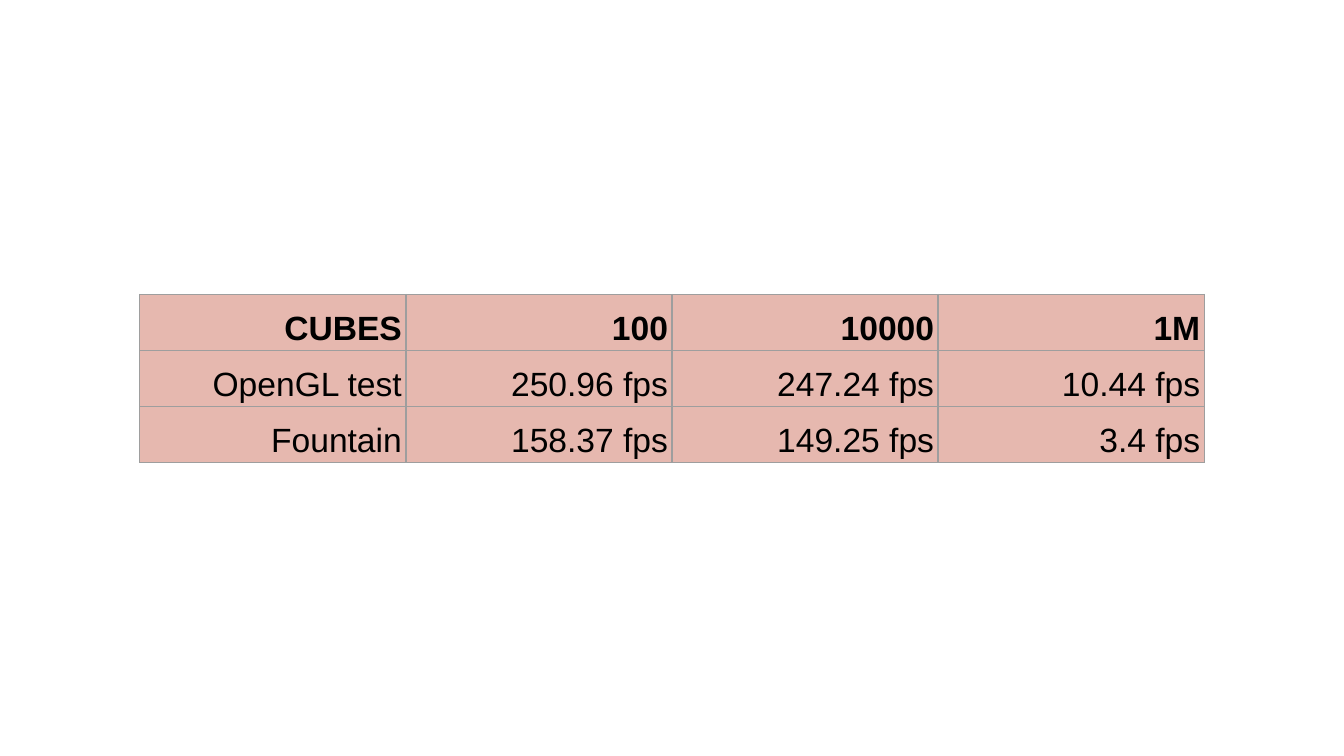
from dataclasses import dataclass

from lxml.etree import SubElement
from pptx import Presentation
from pptx.dml.color import RGBColor
from pptx.enum.text import MSO_ANCHOR, PP_ALIGN
from pptx.oxml.ns import qn
from pptx.slide import Slide
from pptx.table import _Cell
from pptx.util import Inches, Pt

CELL_FILL = "E6B8AF"
BORDER_COLOR = "9E9E9E"
TEXT_COLOR = "000000"
TABLE_WIDTH = Inches(7.92)
TABLE_HEIGHT = Inches(1.25)


@dataclass(frozen=True)
class ResultRow:
    values: tuple[str, ...]
    bold: bool = False


RESULTS = [
    ResultRow(("CUBES", "100", "10000", "1M"), bold=True),
    ResultRow(("OpenGL test", "250.96 fps", "247.24 fps", "10.44 fps")),
    ResultRow(("Fountain", "158.37 fps", "149.25 fps", "3.4 fps")),
]


def color(hex_value: str) -> RGBColor:
    return RGBColor.from_string(hex_value)


def add_borders(cell: _Cell) -> None:
    properties = cell._tc.get_or_add_tcPr()
    for side in ("a:lnL", "a:lnR", "a:lnT", "a:lnB"):
        line = SubElement(properties, qn(side), w=str(Pt(0.75)))
        fill = SubElement(line, qn("a:solidFill"))
        SubElement(fill, qn("a:srgbClr"), val=BORDER_COLOR)


def fill_cell(cell: _Cell, text: str, bold: bool) -> None:
    add_borders(cell)
    cell.fill.solid()
    cell.fill.fore_color.rgb = color(CELL_FILL)
    cell.margin_left = cell.margin_right = Inches(0.03)
    cell.margin_top = cell.margin_bottom = Inches(0.02)
    cell.vertical_anchor = MSO_ANCHOR.BOTTOM
    cell.text = text
    paragraph = cell.text_frame.paragraphs[0]
    paragraph.alignment = PP_ALIGN.RIGHT
    paragraph.line_spacing = 1.15
    paragraph.font.name = "Arial"
    paragraph.font.size = Pt(18)
    paragraph.font.bold = bold
    paragraph.font.color.rgb = color(TEXT_COLOR)


def add_results_table(slide: Slide, results: list[ResultRow]) -> None:
    """Add the table; columns and rows share its width and height equally."""
    table = slide.shapes.add_table(
        len(results), len(results[0].values),
        Inches(1.04), Inches(2.19), TABLE_WIDTH, TABLE_HEIGHT,
    ).table
    table.first_row = table.horz_banding = False
    for row, result in zip(table.rows, results):
        for cell, text in zip(row.cells, result.values):
            fill_cell(cell, text, result.bold)


def main() -> None:
    deck = Presentation()
    deck.slide_width = Inches(10)
    deck.slide_height = deck.slide_width * 9 // 16
    slide = deck.slides.add_slide(deck.slide_layouts[6])
    add_results_table(slide, RESULTS)
    deck.save("out.pptx")


if __name__ == "__main__":
    main()
